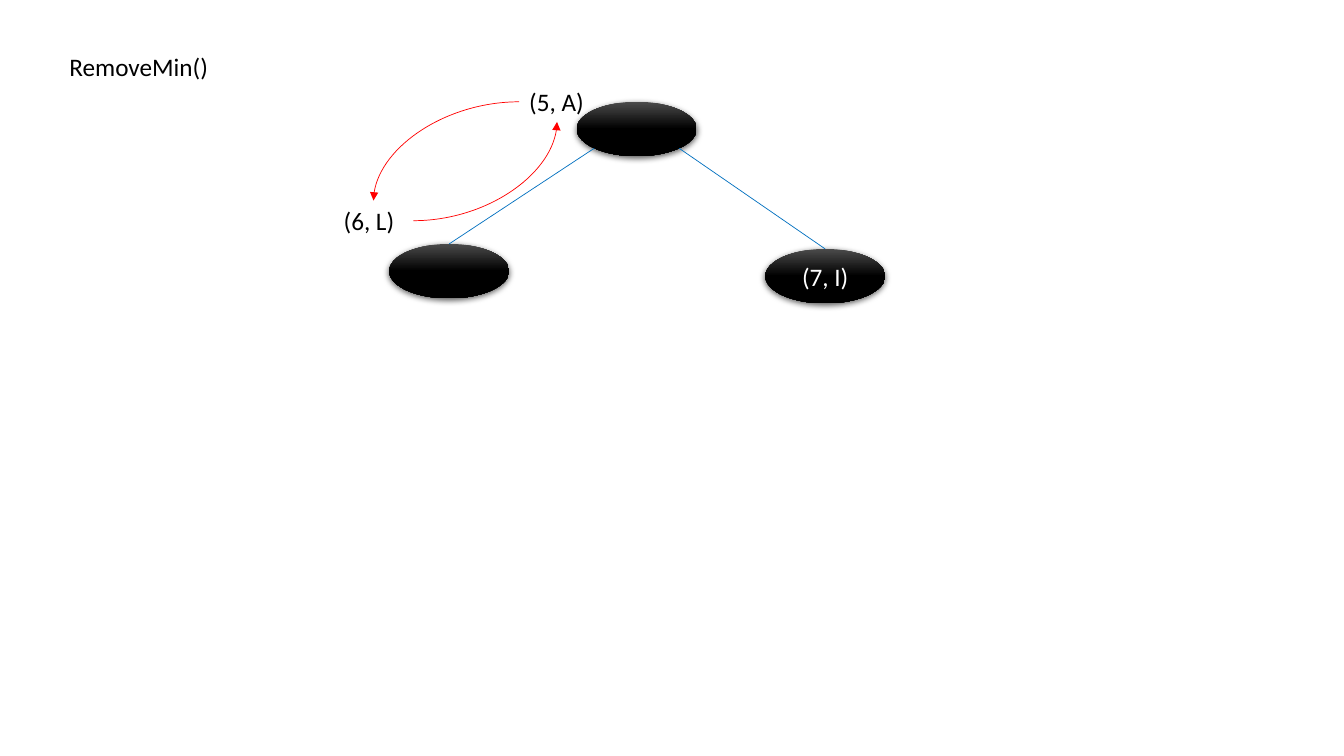
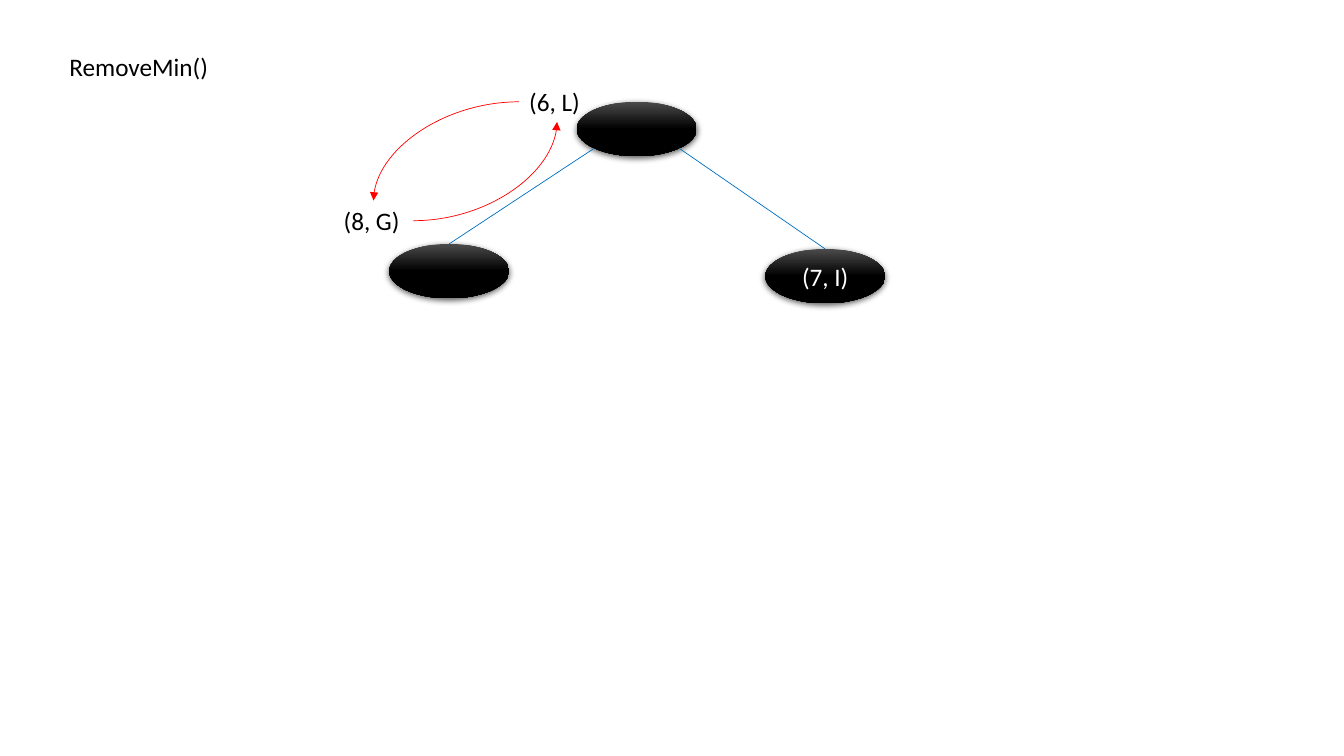
from dataclasses import dataclass
from math import sqrt

from lxml import etree
from pptx import Presentation
from pptx import util as u
from pptx.dml.color import RGBColor
from pptx.enum import shapes, text
from pptx.oxml import parse_xml
from pptx.oxml.ns import nsdecls, qn


@dataclass(frozen=True)
class Theme:
    font: str = "Calibri"
    size: float = 18
    line: float = 0.5
    ink: str = "000000"
    node_text: str = "FFFFFF"
    node_top: str = "4B4B4B"
    node_base: str = "000000"
    edge: str = "0070C0"
    swap: str = "FF0000"


THEME = Theme()
NODE_W, NODE_H = 1.19, 0.54
LABEL_H = 0.4


def rgb(value):
    return RGBColor.from_string(value)


def write(p, words, color):
    p.text = words
    p.font.name = THEME.font
    p.font.size = u.Pt(THEME.size)
    p.font.color.rgb = rgb(color)


def add_label(s, words, x, y, w):
    sp = s.shapes.add_textbox(*map(u.Inches, (x, y, w, LABEL_H)))
    tf = sp.text_frame
    tf.word_wrap = True
    tf.auto_size = text.MSO_AUTO_SIZE.SHAPE_TO_FIT_TEXT
    write(tf.paragraphs[0], words, THEME.ink)


def add_node(s, x, y, words=""):
    sp = s.shapes.add_shape(shapes.MSO_SHAPE.OVAL,
                            *map(u.Inches, (x, y, NODE_W, NODE_H)))
    # Dark gradient that reaches its base colour halfway down
    sp.fill.gradient()
    sp.fill.gradient_angle = 270
    stops = ((0, THEME.node_top), (0.5, THEME.node_base))
    for stop, (position, color) in zip(sp.fill.gradient_stops, stops):
        stop.position = position
        stop.color.rgb = rgb(color)
    sp.line.fill.background()
    # Soft shadow below the node
    sp.shadow.inherit = False
    effects = sp.element.spPr.find(qn("a:effectLst"))
    effects.append(parse_xml(
        f'<a:outerShdw {nsdecls("a")} blurRad="{u.Pt(4.5)}" dist="{u.Pt(1.5)}" '
        'dir="5400000" algn="ctr" rotWithShape="0"><a:srgbClr val="000000">'
        '<a:alpha val="63000"/></a:srgbClr></a:outerShdw>'))
    if words:
        tf = sp.text_frame
        tf.vertical_anchor = text.MSO_ANCHOR.MIDDLE
        p = tf.paragraphs[0]
        p.alignment = text.PP_ALIGN.CENTER
        write(p, words, THEME.node_text)


def add_line(s, kind, start, end, color):
    cxn = s.shapes.add_connector(kind, *map(u.Inches, (*start, *end)))
    cxn.line.color.rgb = rgb(color)
    cxn.line.width = u.Pt(THEME.line)
    etree.SubElement(cxn.element.spPr, qn("a:effectLst"))
    return cxn


def add_edge(s, parent, child):
    """Join the parent's lower diagonal point to the child's top."""
    side = 1 if child[0] > parent[0] else -1
    reach = 1 / sqrt(2)
    start = (parent[0] + NODE_W / 2 * (1 + side * reach),
             parent[1] + NODE_H / 2 * (1 + reach))
    end = (child[0] + NODE_W / 2, child[1])
    add_line(s, shapes.MSO_CONNECTOR.STRAIGHT, start, end, THEME.edge)


def add_swap_arrow(s, start, end):
    """Quarter curve that leaves sideways and arrives vertically."""
    cxn = add_line(s, shapes.MSO_CONNECTOR.CURVE, start, end, THEME.swap)
    spPr = cxn.element.spPr
    spPr.find(qn("a:prstGeom")).set("prst", "curvedConnector2")
    etree.SubElement(spPr.find(qn("a:ln")), qn("a:tailEnd"), type="triangle")


def add_tree(s, x, y, root_key, left_key, right_key):
    root = (x + 2.41, y + 0.2)
    left = (x + 0.55, y + 1.61)
    right = (x + 4.28, y + 1.66)
    # Nodes and edges
    add_node(s, *root)
    add_node(s, *left)
    add_node(s, *right, right_key)
    for child in (left, right):
        add_edge(s, root, child)
    # Keys being exchanged
    left_w, root_w = 0.79, 0.75
    left_y, root_x = y + 1.18, x + 1.84
    add_label(s, left_key, x, left_y, left_w)
    add_label(s, root_key, root_x, y, root_w)
    # Exchange arrows between the two labels
    half = LABEL_H / 2
    add_swap_arrow(s, (root_x, y + half), (x + left_w / 2, left_y))
    add_swap_arrow(s, (x + left_w, left_y + half),
                   (root_x + root_w / 2, y + LABEL_H))


def add_heap_slide(prs, root_key, left_key, right_key):
    s = prs.slides.add_slide(prs.slide_layouts[6])
    add_label(s, "RemoveMin()", 0.59, 0.46, 1.65)
    add_tree(s, 3.31, 0.81, root_key, left_key, right_key)


def main():
    prs = Presentation()
    prs.slide_width, prs.slide_height = u.Inches(13.33), u.Inches(7.5)
    for keys in (("(5, A)", "(6, L)", "(7, I)"),
                 ("(6, L)", "(8, G)", "(7, I)")):
        add_heap_slide(prs, *keys)
    prs.save("out.pptx")


if __name__ == "__main__":
    main()
